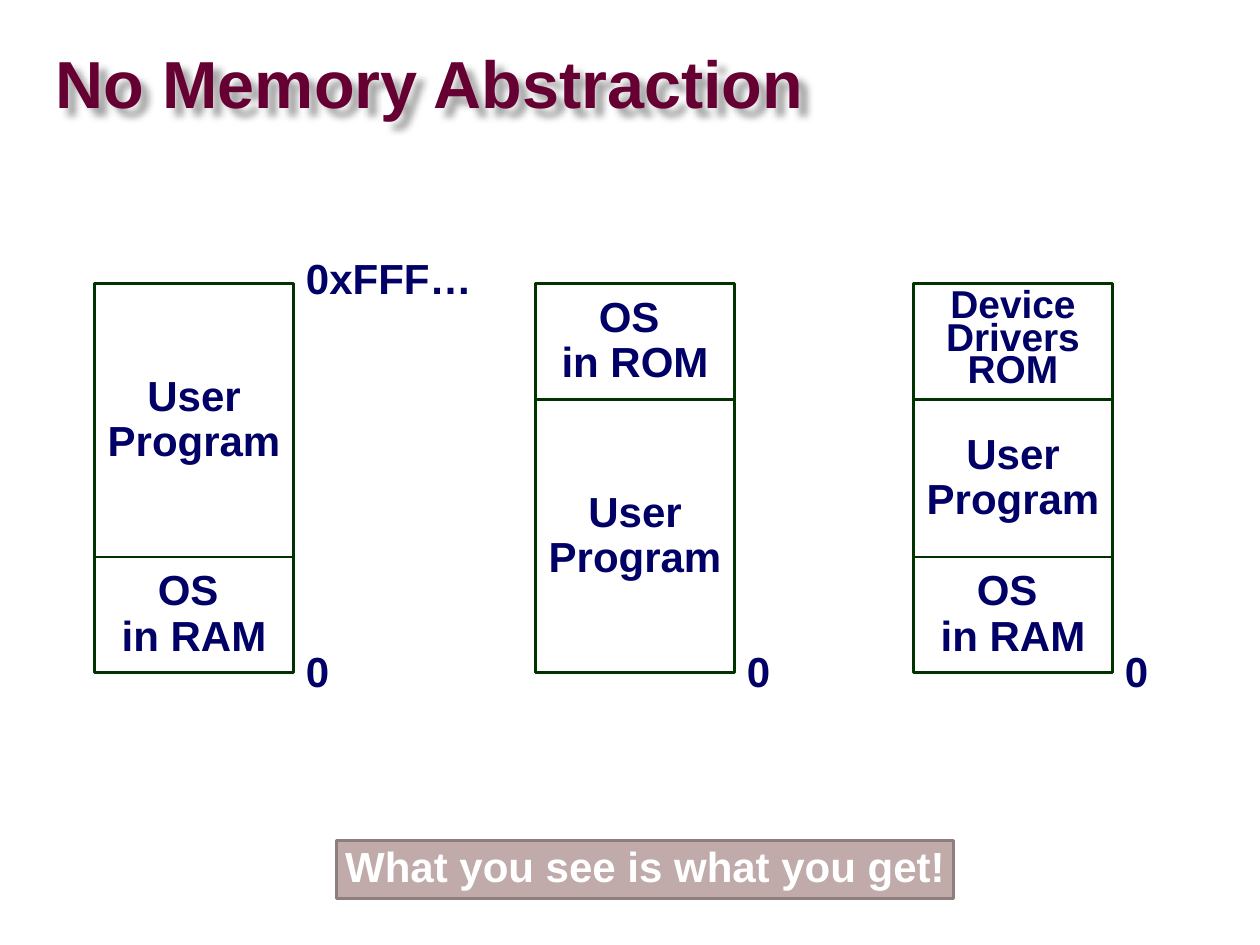
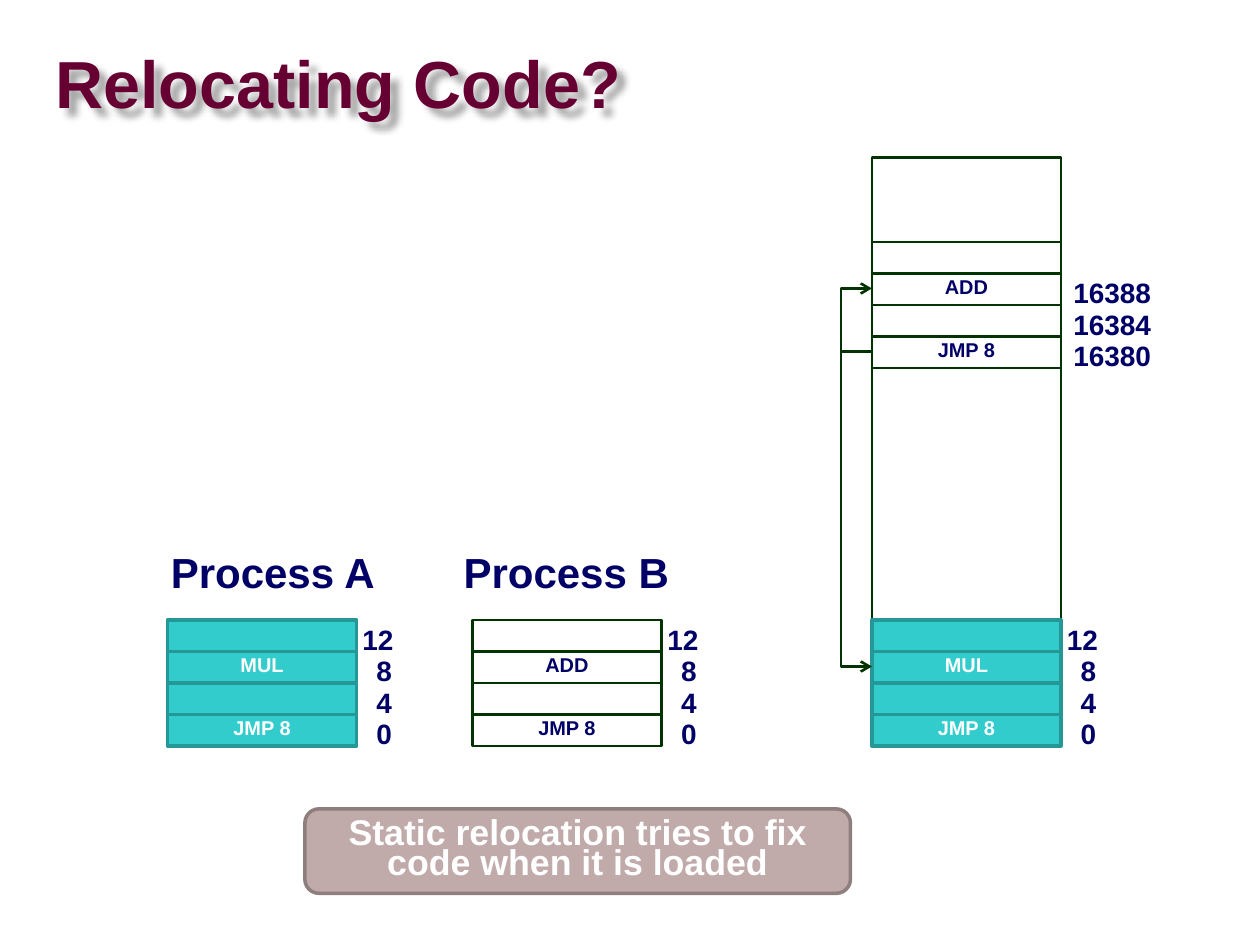
from lxml import etree
from pptx import Presentation
from pptx.dml.color import RGBColor
from pptx.enum.shapes import MSO_CONNECTOR, MSO_SHAPE
from pptx.enum.text import MSO_ANCHOR, MSO_AUTO_SIZE, PP_ALIGN
from pptx.oxml.ns import qn
from pptx.util import Inches, Pt

RECT, ROUND = MSO_SHAPE.RECTANGLE, MSO_SHAPE.ROUNDED_RECTANGLE
ELBOW = MSO_CONNECTOR.ELBOW
MIDDLE = MSO_ANCHOR.MIDDLE
GROW = MSO_AUTO_SIZE.SHAPE_TO_FIT_TEXT
LEFT, CENTER = PP_ALIGN.LEFT, PP_ALIGN.CENTER

WINE, NAVY, WHITE = "660033", "000066", "FFFFFF"
# fill, line colour, line width, text colour
PLAIN = (None, "003300", 1.5, NAVY)
TEAL = ("33CCCC", "269797", 2, WHITE)
NOTE = ("C0AAAA", "8E7E7E", 2, WHITE)

ROW = 0.25
CELL = 1.5
BASE = 5.92
MEM = 6.92


def tint(code):
    return RGBColor.from_string(code)


def put(target, **values):
    for name, value in values.items():
        setattr(target, name, value)


def add(parent, tag, **attrs):
    return etree.SubElement(parent, qn(tag), **attrs)


class Deck:
    def __init__(self):
        self.show = Presentation()
        put(self.show, slide_width=Inches(10), slide_height=Inches(7.5))
        self.slide = None

    def type_in(self, frame, lines, size, color, align=LEFT, space=0.9, inset=None):
        frame.word_wrap = True
        if inset is not None:
            sides = ("left", "right", "top", "bottom")
            put(frame, vertical_anchor=MIDDLE,
                **{f"margin_{side}": Inches(inset) for side in sides})
        for i, line in enumerate(lines):
            para = frame.add_paragraph() if i else frame.paragraphs[0]
            put(para, text=line, alignment=align, line_spacing=space)
            put(para.font, name="Arial", size=Pt(size), bold=True)
            para.font.color.rgb = tint(color)

    def start(self, text):
        """Add a slide with its shadowed title."""
        self.slide = self.show.slides.add_slide(self.show.slide_layouts[5])
        title = self.slide.shapes.title
        put(title, left=Inches(0.44), top=Inches(0.27),
            width=Inches(9.53), height=Inches(0.85))
        self.type_in(title.text_frame, [text], 38, WINE, space=0.87, inset=0)
        glow = add(add(title.element.spPr, "a:effectLst"), "a:outerShdw",
                   blurRad="50800", dist="71842", dir="2700000", algn="ctr")
        shade = add(glow, "a:srgbClr", val="000000")
        add(shade, "a:alpha", val="35000")

    def box(self, x, y, wide, high, style, lines=(), size=24, space=0.9, kind=RECT):
        fill, edge, width, color = style
        shape = self.slide.shapes.add_shape(
            kind, Inches(x), Inches(y), Inches(wide), Inches(high))
        shape.shadow.inherit = False
        if fill:
            shape.fill.solid()
            shape.fill.fore_color.rgb = tint(fill)
        else:
            shape.fill.background()
        shape.line.color.rgb = tint(edge)
        shape.line.width = Pt(width)
        if lines:
            self.type_in(shape.text_frame, lines, size, color, CENTER, space, 0.05)
        return shape

    def label(self, x, y, wide, text, size=24, align=LEFT):
        high = 0.46 if size == 24 else 0.34
        area = self.slide.shapes.add_textbox(
            Inches(x), Inches(y), Inches(wide), Inches(high))
        self.type_in(area.text_frame, [text], size, NAVY, align)
        area.text_frame.auto_size = GROW

    def stack(self, x, base, style, marks=None):
        """Draw four code cells upward from base, with or without addresses."""
        jump = "ADD" if style is PLAIN else "MUL"
        for i, code in enumerate(("JMP 8", "", jump, "")):
            y = base - ROW * (i + 1)
            self.box(x, y, CELL, ROW, style, [code] if code else (), 11.4, 0.7)
            if marks:
                wide = 0.17 if len(marks[i]) == 1 else 0.67
                self.label(x + 1.67 - wide / 2, y, wide, marks[i], 16, CENTER)

    def bend(self, x, start, end):
        """Draw an arrow that leaves and returns on the left of x."""
        gap, reach = 0.01, 0.25
        link = self.slide.shapes.add_connector(
            ELBOW, Inches(x + gap), Inches(start), Inches(x), Inches(end))
        link.line.color.rgb = tint(PLAIN[1])
        link.line.width = Pt(1.5)
        props = link._element.spPr
        add(props.find(qn("a:ln")), "a:tailEnd", type="arrow")
        add(props, "a:effectLst")
        geom = props.find(qn("a:prstGeom"))
        rules = geom.find(qn("a:avLst"))
        if rules is None:
            rules = add(geom, "a:avLst")
        ratio = round((reach + gap) / gap * 100000)
        add(rules, "a:gd", name="adj1", fmla=f"val {ratio}")


def layouts(deck):
    deck.start("No Memory Abstraction")
    user = ["User Program"]
    ram, rom = ["OS ", "in RAM"], ["OS ", "in ROM"]
    drivers = ["Device Drivers ROM"]
    top, wide, small = 2.25, 1.58, 0.92
    columns = (
        (0.75, ((2.17, user), (small, ram))),
        (4.25, ((small, rom), (2.17, user))),
        (7.25, ((small, drivers), (1.25, user), (small, ram))),
    )
    for x, parts in columns:
        y = top
        for high, lines in parts:
            size, space = (22.2, 0.7) if lines is drivers else (24, 0.9)
            deck.box(x, y, wide, high, PLAIN, lines, size, space)
            y += high
        deck.label(x + wide, 5.12, 0.25, "0")
    deck.label(2.33, 2, 1.92, "0xFFF…")
    note = deck.box(2.67, 6.67, 4.9, 0.46, NOTE, ["What you see is what you get!"])
    put(note.text_frame, word_wrap=False, auto_size=GROW)


def relocation(deck):
    deck.start("Relocating Code?")
    marks = ("0", "4", "8", "12")
    deck.box(MEM, 1.25, CELL, 4.67, PLAIN)
    for x, style in ((1.33, TEAL), (3.75, PLAIN), (MEM, TEAL)):
        deck.stack(x, BASE, style, marks)
    for x, name in ((1.25, "Process A"), (3.58, "Process B")):
        deck.label(x, 4.33, 1.83, name, align=CENTER)
    high = 2.92
    deck.stack(MEM, high, PLAIN)
    for i, mark in enumerate(("16380", "16384", "16388")):
        deck.label(MEM + CELL, high - ROW * (i + 1), 1.33, mark, 16)
    for end in (5.29, 2.29):
        deck.bend(MEM, 2.79, end)
    deck.box(2.42, 6.42, 4.33, 0.67, NOTE,
             ["Static relocation tries to fix code when it is loaded"],
             20.4, 0.7, ROUND)


def main():
    deck = Deck()
    layouts(deck)
    relocation(deck)
    deck.show.save("out.pptx")


if __name__ == "__main__":
    main()
